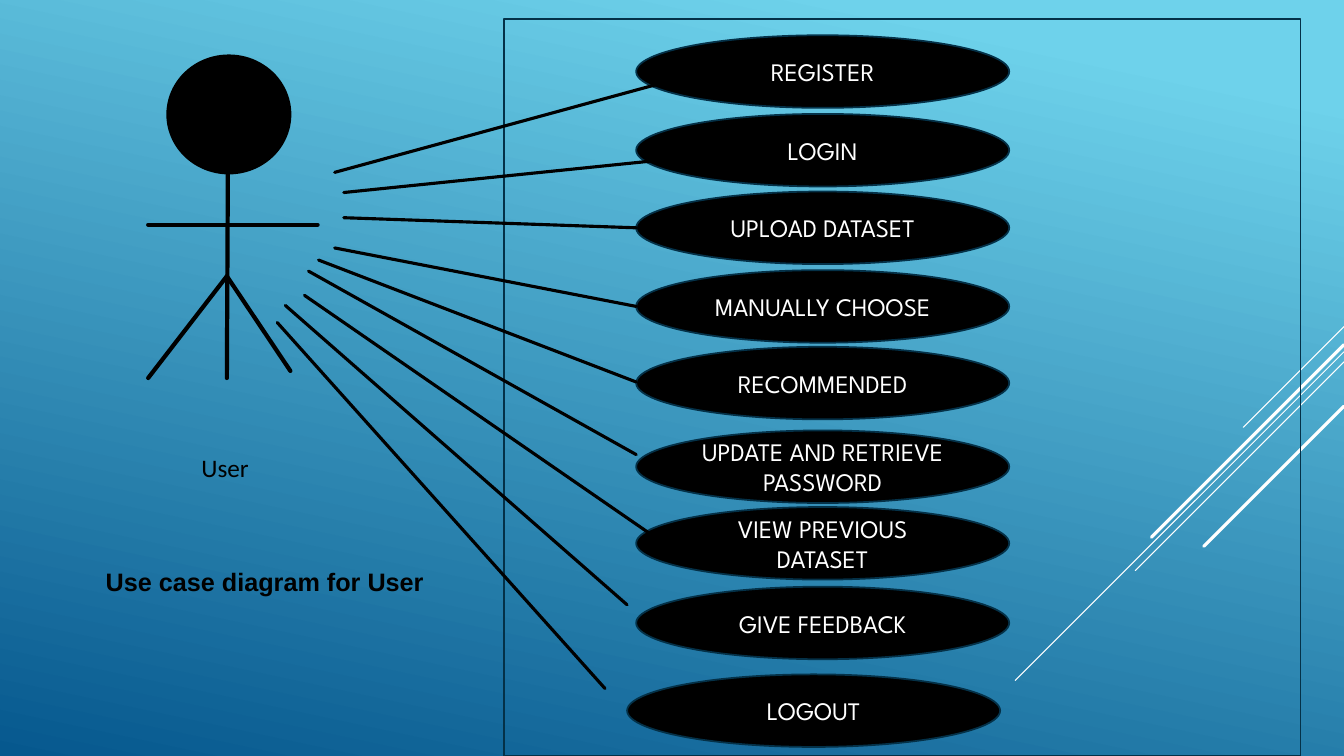
from lxml.etree import SubElement
from pptx import Presentation
from pptx.dml.color import RGBColor
from pptx.enum.shapes import MSO_CONNECTOR as Connector, MSO_SHAPE as Shape
from pptx.enum.text import MSO_ANCHOR as Anchor, PP_ALIGN as Align
from pptx.oxml.ns import qn
from pptx.util import Inches, Pt

BLACK, WHITE, NAVY = "000000", "FFFFFF", "043148"

# Label, ellipse left and top, then the two ends of its link to the user
USE_CASES = [
    ("REGISTER", 6.31, 0.35, (3.32, 1.71), (6.58, 0.82)),
    ("LOGIN", 6.31, 1.13, (3.41, 1.91), (6.44, 1.6)),
    ("UPLOAD DATASET", 6.31, 1.9, (3.41, 2.16), (6.31, 2.26)),
    ("MANUALLY CHOOSE", 6.31, 2.68, (3.32, 2.46), (6.31, 3.04)),
    ("RECOMMENDED", 6.31, 3.44, (3.16, 2.58), (6.31, 3.79)),
    ("UPDATE AND RETRIEVE PASSWORD", 6.31, 4.27, (3.06, 2.69), (6.31, 4.51)),
    ("VIEW PREVIOUS DATASET", 6.31, 5.03, (3.02, 2.93), (6.44, 5.29)),
    ("GIVE FEEDBACK", 6.31, 5.82, (2.83, 3.03), (6.22, 6)),
    ("LOGOUT", 6.22, 6.69, (2.75, 3.2), (6, 6.83)),
]


def color(value):
    return RGBColor.from_string(value)


def add_stroke(page, start, end, tint, width):
    """Draw a straight line with round ends between two points."""
    stroke = page.shapes.add_connector(
        Connector.STRAIGHT, *(Inches(length) for length in (*start, *end)))
    stroke.line.color.rgb = color(tint)
    stroke.line.width = Pt(width)
    properties = stroke._element.spPr
    properties.find(qn("a:ln")).set("cap", "rnd")
    SubElement(properties, qn("a:effectLst"))


def add_figure(page, kind, box, fill=None, line=None):
    """Draw a preset shape; no fill or line colour means none is drawn."""
    figure = page.shapes.add_shape(kind, *map(Inches, box))
    figure.shadow.inherit = False
    if fill:
        figure.fill.solid()
        figure.fill.fore_color.rgb = color(fill)
    else:
        figure.fill.background()
    if line:
        figure.line.color.rgb = color(line)
        figure.line.width = Pt(1.25)
    else:
        figure.line.fill.background()
    return figure


def write(frame, text, tint, font, paragraph=None):
    frame.word_wrap = True
    para = frame.paragraphs[0]
    for name, value in (paragraph or {}).items():
        setattr(para, name, value)
    span = para.add_run()
    span.text = text
    span.font.color.rgb = color(tint)
    for name, value in {"size": Pt(18), **font}.items():
        setattr(span.font, name, value)


def paint_background(page):
    fill = page.background.fill
    fill.gradient()
    fill.gradient_angle = 258
    for stop, (position, tint) in zip(
            fill.gradient_stops, [(0.1, "6ED2EB"), (1, "06588E")]):
        stop.position = position
        stop.color.rgb = color(tint)


def add_rays(page, right):
    """Draw the diagonal rays that run down and left from the right edge."""
    for top, reach, width in [(3.24, 1, 0.75), (3.49, 3.26, 0.75),
                              (3.59, 2.07, 0.75), (3.42, 1.91, 2.25),
                              (4.03, 1.39, 2.25)]:
        add_stroke(page, (right, top), (right - reach, top + reach), WHITE, width)


def add_user(page, box):
    """Draw the stick figure: head, body, arms and legs."""
    left, top, width, height = box
    add_figure(page, Shape.OVAL, (left + 0.18, top, 1.24, 1.19), fill=BLACK)
    middle, foot = left + 0.78, top + height
    arms, hip = top + 1.69, top + 2.2
    for start, end in [((middle + 0.01, top + 1.19), (middle, foot)),
                       ((left, arms), (left + width, arms)),
                       ((middle, hip), (left, foot)),
                       ((middle, hip), (left + 1.41, foot - 0.07))]:
        add_stroke(page, start, end, BLACK, 3)


def add_caption(page, box, text, font, paragraph=None):
    caption = page.shapes.add_textbox(*map(Inches, box))
    write(caption.text_frame, text, BLACK, font, paragraph)


def add_system(page, box):
    """Draw the system frame with its use cases and their links."""
    add_figure(page, Shape.RECTANGLE, box, line=NAVY)
    frame_left, frame_top = box[:2]
    for label, left, top, start, end in USE_CASES:
        inset, drop = left - 5, top - 0.19
        case = add_figure(page, Shape.OVAL,
                          (frame_left + inset, frame_top + drop, 3.7, 0.72),
                          BLACK, NAVY)
        case.text_frame.vertical_anchor = Anchor.MIDDLE
        write(case.text_frame, label, WHITE, {"name": "League Spartan"},
              {"alignment": Align.CENTER})
        add_stroke(page, start, end, BLACK, 2.25)


def main():
    deck = Presentation()
    deck.slide_width, deck.slide_height = Inches(13.33), Inches(7.5)
    page = deck.slides.add_slide(deck.slide_layouts[6])
    paint_background(page)
    add_rays(page, 13.33)
    add_user(page, (1.47, 0.54, 1.68, 3.21))
    add_system(page, (5, 0.19, 7.9, 7.31))
    add_caption(page, (1.9, 4.42, 6.67, 0.43), "User", {"name": "Calibri"},
                {"line_spacing": 1.07, "space_after": Pt(8)})
    add_caption(page, (0.95, 5.57, 6.68, 0.4), "Use case diagram for User",
                {"name": "Arial", "bold": True})
    deck.save("out.pptx")


if __name__ == "__main__":
    main()
